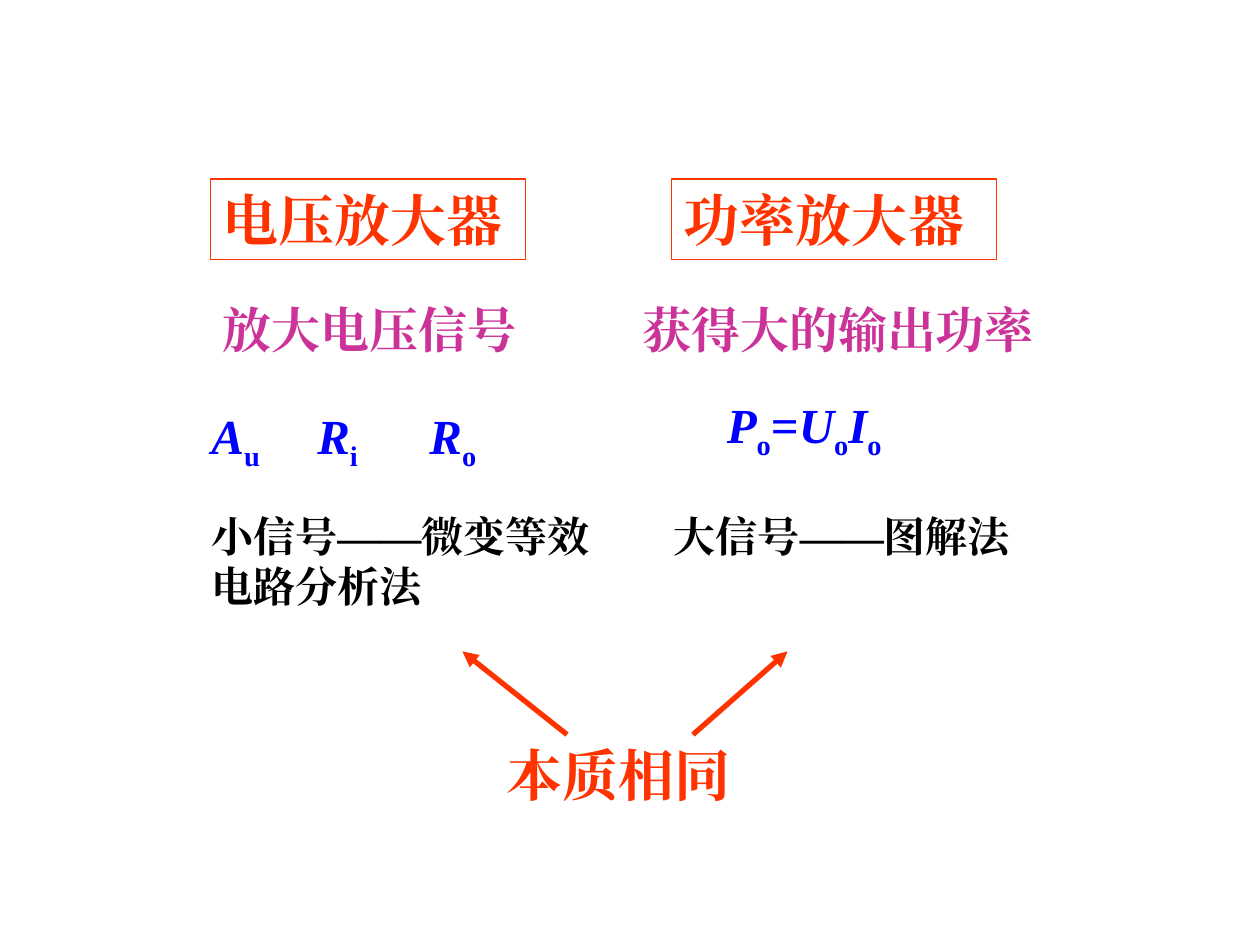
from lxml import etree
from pptx import Presentation
from pptx.dml.color import RGBColor
from pptx.enum.shapes import MSO_CONNECTOR, MSO_SHAPE
from pptx.enum.text import MSO_ANCHOR, MSO_AUTO_SIZE, PP_ALIGN
from pptx.oxml.ns import qn
from pptx.util import Inches, Pt

LINE = MSO_CONNECTOR.STRAIGHT
RECT = MSO_SHAPE.RECTANGLE
GROW = MSO_AUTO_SIZE.SHAPE_TO_FIT_TEXT
TOP = MSO_ANCHOR.TOP
LEFT = PP_ALIGN.LEFT

FONT = "Times New Roman"
RED, PINK, BLUE, BLACK = "FF3300", "CC3399", "0000FF", "000000"

# Left, top, width, height, text, size, colour
HEADS = [
    (1.67, 1.42, 2.5, 0.64, "电压放大器", 32, RED),
    (5.33, 1.42, 2.58, 0.64, "功率放大器", 32, RED),
]
NOTES = [
    (1.67, 2.33, 2.67, 0.57, "放大电压信号", 28, PINK),
    (5, 2.33, 3.75, 0.57, "获得大的输出功率", 28, PINK),
    (1.58, 4, 3.5, 0.9, "小信号——微变等效电路分析法", 24, BLACK),
    (5.25, 4, 3.33, 0.5, "大信号——图解法", 24, BLACK),
    (3.92, 5.83, 2.17, 0.64, "本质相同", 32, RED),
]
# Left, top, width, height, (symbol, subscript, what follows), tab stops
MATHS = [
    (1.58, 3.17, 2.83, 0.63,
     [("A", "u", "\t"), ("R", "i", "\t"), ("R", "o", "")], [0.84, 1.73]),
    (5.67, 3.08, 1.67, 0.63,
     [("P", "o", "="), ("U", "o", ""), ("I", "o", "")], []),
]
ARROWS = [(5.5, 5.83, 6.25, 5.17), (4.5, 5.83, 3.67, 5.17)]


def paint(code):
    return RGBColor.from_string(code)


def add_run(para, text, size, color, italic=False, base=0):
    run = para.add_run()
    run.text = text
    font = run.font
    font.size, font.bold, font.italic = Pt(size), True, italic
    font.color.rgb = paint(color)
    font.name = FONT
    props = run._r.get_or_add_rPr()
    etree.SubElement(props, qn("a:ea"), typeface=FONT)
    if base:
        props.set("baseline", str(base))


def add_box(slide, area, framed=False):
    """Add a text box, or an outlined rectangle, and return its paragraph."""
    spot = [Inches(n) for n in area]
    if framed:
        box = slide.shapes.add_shape(RECT, *spot)
        box.shadow.inherit = False
        box.fill.background()
        box.line.color.rgb = paint(RED)
        box.line.width = Pt(0.75)
    else:
        box = slide.shapes.add_textbox(*spot)
    frame = box.text_frame
    frame.word_wrap = True
    frame.auto_size = GROW
    frame.vertical_anchor = TOP
    para = frame.paragraphs[0]
    para.alignment = LEFT
    return para


def add_maths(slide, area, terms, stops):
    para = add_box(slide, area)
    if stops:
        tabs = etree.SubElement(para._p.get_or_add_pPr(), qn("a:tabLst"))
        for stop in stops:
            etree.SubElement(tabs, qn("a:tab"), pos=str(Inches(stop)), algn="l")
    for symbol, sub, rest in terms:
        add_run(para, symbol, 28, BLUE, italic=True)
        add_run(para, sub, 28, BLUE, base=-25000)
        if rest:
            add_run(para, rest, 28, BLUE)


def add_arrow(slide, ends):
    arrow = slide.shapes.add_connector(LINE, *[Inches(n) for n in ends])
    arrow.line.color.rgb = paint(RED)
    arrow.line.width = Pt(3)
    etree.SubElement(arrow.line._get_or_add_ln(), qn("a:tailEnd"), type="triangle")
    etree.SubElement(arrow._element.spPr, qn("a:effectLst"))


def main():
    deck = Presentation()
    deck.slide_width, deck.slide_height = Inches(10), Inches(7.5)
    slide = deck.slides.add_slide(deck.slide_layouts[6])
    for group, framed in ((HEADS, True), (NOTES, False)):
        for *area, text, size, color in group:
            add_run(add_box(slide, area, framed), text, size, color)
    for *area, terms, stops in MATHS:
        add_maths(slide, area, terms, stops)
    for ends in ARROWS:
        add_arrow(slide, ends)
    deck.save("out.pptx")


if __name__ == "__main__":
    main()
